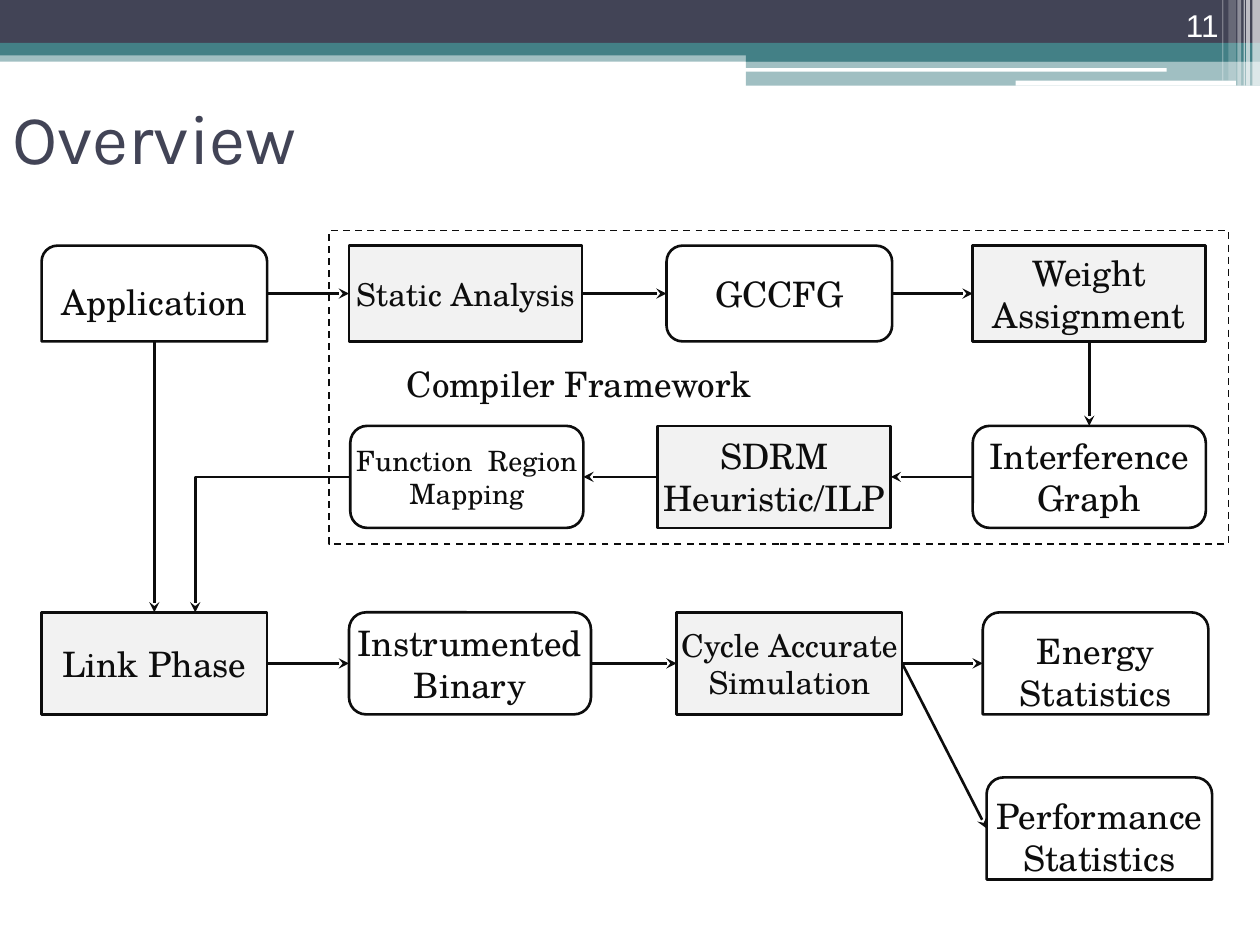
import pptx
import pptx.dml.color
import pptx.enum.dml
import pptx.enum.shapes
import pptx.enum.text
import pptx.oxml
import pptx.oxml.ns
import pptx.util
from pptx.util import Inches

RGBColor = pptx.dml.color.RGBColor
SHAPE = pptx.enum.shapes.MSO_SHAPE
CONNECTOR = pptx.enum.shapes.MSO_CONNECTOR
ANCHOR = pptx.enum.text.MSO_ANCHOR
ALIGN = pptx.enum.text.PP_ALIGN

NAVY = RGBColor(0x42, 0x44, 0x56)
TEAL = RGBColor(0x43, 0x80, 0x86)
WHITE = RGBColor(0xFF, 0xFF, 0xFF)
INK = RGBColor(0x0D, 0x0D, 0x0D)
GRAY = RGBColor(0xF2, 0xF2, 0xF2)

STEP, DATA, ENDPOINT = SHAPE.RECTANGLE, SHAPE.ROUNDED_RECTANGLE, SHAPE.ROUND_2_SAME_RECTANGLE

BARS = [
    (0, 0.4, 10, 0.09, TEAL, 50), (0, 0, 10, 0.34, NAVY, 100),
    (0, 0.34, 10, 0.1, TEAL, 100), (5.92, 0.39, 4.08, 0.1, TEAL, 100),
    (5.92, 0.48, 4.08, 0.2, TEAL, 50), (5.91, 0.54, 3.35, 0.03, WHITE, 100),
    (8.06, 0.64, 1.75, 0.04, WHITE, 100), (9.94, 0, 0.06, 0.68, WHITE, 65),
    (9.89, 0, 0.03, 0.68, WHITE, 65), (9.87, 0, 0.01, 0.68, WHITE, 60),
    (9.82, 0, 0.03, 0.68, WHITE, 40), (9.75, 0, 0.06, 0.64, WHITE, 20),
    (9.7, 0, 0.01, 0.64, WHITE, 30),
]

ROWS = [(0.12, 0.76), (1.55, 0.81), (3.03, 0.81), (4.34, 0.81)]
NODES = {
    "application": (ENDPOINT, 0, 0, 1.79, "Application", 20),
    "analysis": (STEP, 0, 2.44, 1.85, "Static Analysis", 18),
    "gccfg": (DATA, 0, 4.96, 1.79, "GCCFG", 20),
    "weight": (STEP, 0, 7.39, 1.85, "Weight Assignment", 20),
    "mapping": (DATA, 1, 2.45, 1.85, "Function  Region Mapping", 16),
    "heuristic": (STEP, 1, 4.89, 1.85, "SDRM Heuristic/ILP", 20),
    "interference": (DATA, 1, 7.39, 1.85, "Interference Graph", 20),
    "link": (STEP, 2, 0, 1.79, "Link Phase", 20),
    "binary": (DATA, 2, 2.44, 1.92, "Instrumented Binary", 20),
    "simulation": (STEP, 2, 5.04, 1.79, "Cycle Accurate Simulation", 18),
    "energy": (ENDPOINT, 2, 7.47, 1.79, "Energy Statistics", 20),
    "performance": (ENDPOINT, 3, 7.5, 1.79, "Performance Statistics", 20),
}
ARROWS = [
    ("application", "right", "analysis", "left"),
    ("analysis", "right", "gccfg", "left"),
    ("gccfg", "right", "weight", "left"),
    ("weight", "bottom", "interference", "top"),
    ("interference", "left", "heuristic", "right"),
    ("heuristic", "left", "mapping", "right"),
    ("application", "bottom", "link", "top"),
    ("link", "right", "binary", "left"),
    ("binary", "right", "simulation", "left"),
    ("simulation", "right", "energy", "left"),
    ("simulation", "right", "performance", "left"),
]


def set_text(sp, text, size, font="TeX Gyre Schola", color=INK, align=ALIGN.CENTER):
    """Put one wrapped, vertically centred paragraph without margins in a shape."""
    tf = sp.text_frame
    tf.word_wrap = True
    tf.vertical_anchor = ANCHOR.MIDDLE
    tf.margin_left = tf.margin_top = tf.margin_right = tf.margin_bottom = 0
    p = tf.paragraphs[0]
    p.text = text
    p.alignment = align
    p.font.name = font
    p.font.size = pptx.util.Pt(size)
    p.font.color.rgb = color
    return tf


def add_box(s, kind, left, top, width, height, fill=None, line=None, weight=1.5):
    """Add a flat preset shape with an optional fill and outline."""
    sp = s.shapes.add_shape(kind, left, top, width, height)
    sp.shadow.inherit = False
    if fill is None:
        sp.fill.background()
    else:
        sp.fill.solid()
        sp.fill.fore_color.rgb = fill
    if line is None:
        sp.line.fill.background()
    else:
        sp.line.color.rgb = line
        sp.line.width = pptx.util.Pt(weight)
    return sp


def add_arrow(s, start, end, kind=CONNECTOR.STRAIGHT):
    """Add a connector with a stealth head at its end."""
    cxn = s.shapes.add_connector(kind, *start, *end)
    cxn.line.color.rgb = INK
    cxn.line.width = pptx.util.Pt(1.5)
    pptx.oxml.ns.qn("a:tailEnd")
    ln = cxn.line._get_or_add_ln()
    ln.append(pptx.oxml.parse_xml('<a:tailEnd %s type="stealth"/>' % pptx.oxml.ns.nsdecls("a")))
    sp_pr = cxn._element.spPr
    sp_pr.append(pptx.oxml.parse_xml("<a:effectLst %s/>" % pptx.oxml.ns.nsdecls("a")))
    return cxn


def edge(sp, side):
    """Return the midpoint of one side of a shape."""
    x, y = sp.left + sp.width // 2, sp.top + sp.height // 2
    return {"left": (sp.left, y), "right": (sp.left + sp.width, y),
            "top": (x, sp.top), "bottom": (x, sp.top + sp.height)}[side]


def add_header(s, left, top):
    """Draw the banner bars and the slide number."""
    for x, y, width, height, color, opacity in BARS:
        sp = add_box(s, SHAPE.RECTANGLE, left + Inches(x), top + Inches(y),
                     Inches(width), Inches(height), color)
        if opacity < 100:
            clr = sp._element.spPr.find(".//" + pptx.oxml.ns.qn("a:srgbClr"))
            clr.append(pptx.oxml.parse_xml(
                '<a:alpha %s val="%d"/>' % (pptx.oxml.ns.nsdecls("a"), opacity * 1000)))
    sp = s.shapes.add_textbox(left + Inches(8.94), top, Inches(0.83), Inches(0.4))
    tf = set_text(sp, "11", 18, "Arial", WHITE, ALIGN.RIGHT)
    tf.vertical_anchor = ANCHOR.BOTTOM
    tf.margin_right = Inches(0.1)
    tf.margin_bottom = Inches(0.05)


def add_title(s, left, top, width, height):
    """Place and format the title placeholder."""
    sp = s.shapes.title
    sp.left, sp.top, sp.width, sp.height = left, top, width, height
    tf = set_text(sp, "Overview", 40, "Karla", NAVY, ALIGN.LEFT)
    tf.margin_left = tf.margin_right = Inches(0.1)


def add_flowchart(s, left, top):
    """Draw the tool flow with its compiler framework frame."""
    nodes = {}
    for name, (kind, row, x, width, text, size) in NODES.items():
        y, height = ROWS[row]
        sp = add_box(s, kind, left + Inches(x), top + Inches(y), Inches(width),
                     Inches(height), GRAY if kind == STEP else None, INK)
        tf = set_text(sp, text, size)
        if kind == ENDPOINT:
            tf.margin_top = Inches(0.09)
        nodes[name] = sp
    for source, source_side, target, target_side in ARROWS:
        add_arrow(s, edge(nodes[source], source_side), edge(nodes[target], target_side))
    elbow = add_arrow(s, edge(nodes["mapping"], "left"),
                      (left + Inches(1.22), nodes["link"].top), CONNECTOR.ELBOW)
    elbow._element.spPr.find(pptx.oxml.ns.qn("a:prstGeom")).set("prst", "bentConnector2")
    frame = add_box(s, SHAPE.RECTANGLE, left + Inches(2.28), top, Inches(7.14),
                    Inches(2.49), line=INK, weight=1)
    frame.line.dash_style = pptx.enum.dml.MSO_LINE.DASH
    label = s.shapes.add_textbox(left + Inches(2.44), top + Inches(0.88),
                                 Inches(3.65), Inches(0.67))
    set_text(label, "Compiler Framework", 20)


def main():
    """Build and save the slide."""
    prs = pptx.Presentation()
    prs.slide_width, prs.slide_height = Inches(10), Inches(7.5)
    s = prs.slides.add_slide(prs.slide_layouts[5])
    add_header(s, 0, 0)
    add_title(s, 0, Inches(0.5), Inches(9), Inches(1.17))
    add_flowchart(s, Inches(0.33), Inches(1.83))
    prs.save("out.pptx")


if __name__ == "__main__":
    main()
